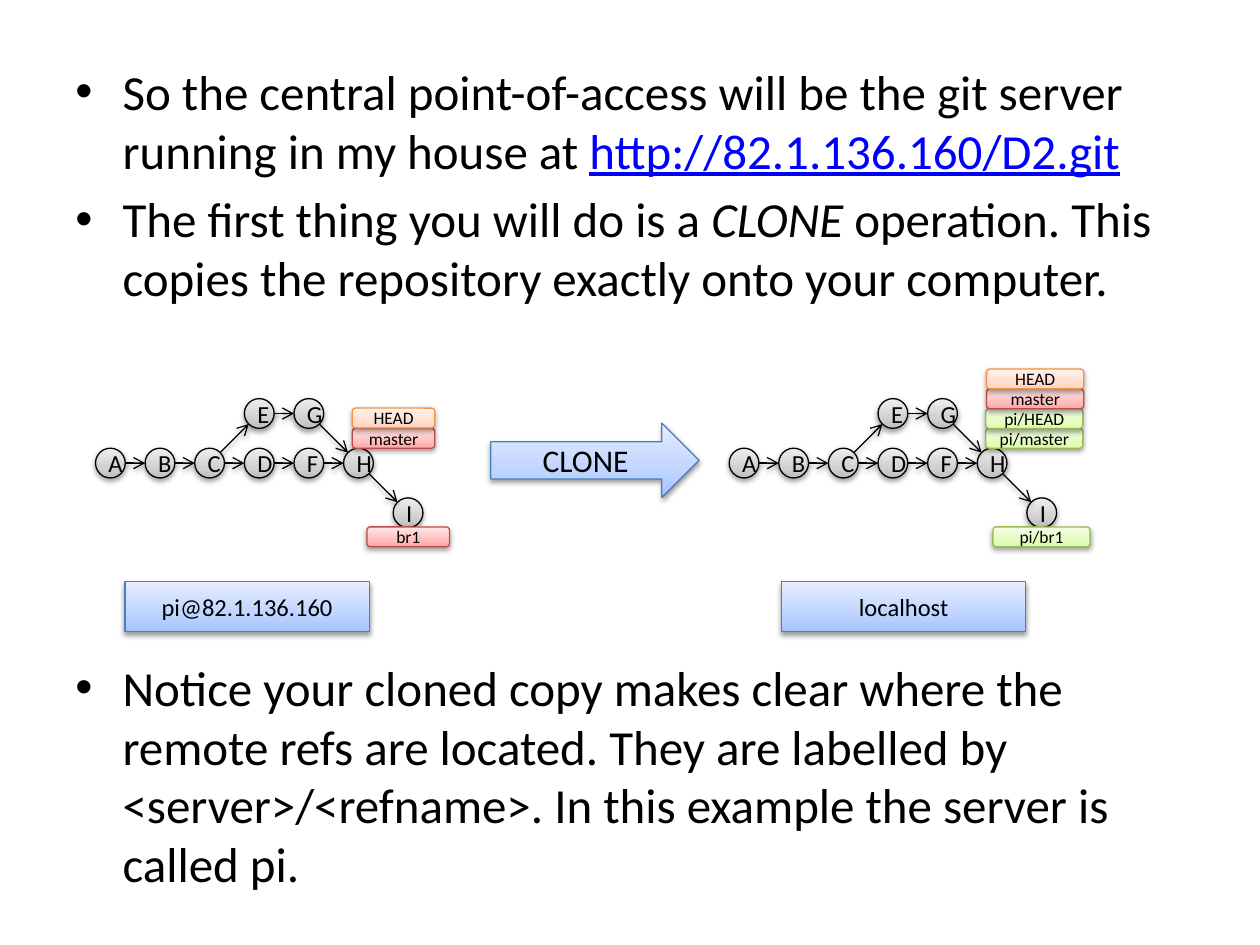
"""Build the slide that shows a repository being cloned from a server to localhost."""
import math
from dataclasses import dataclass

from pptx import Presentation
from pptx import util as u
from pptx.dml.color import RGBColor
from pptx.enum import shapes, text
from pptx.oxml import parse_xml
from pptx.oxml.ns import nsdecls

Pt = u.Pt
KINDS = shapes.MSO_SHAPE
FONT = "Calibri"
COLORS = {"black": "000000", "link": "0000FF"}
THEMES = {
    "gray": {"line": "000000", "stops": ("BDBDBD", "D1D1D1", "EEEEEE")},
    "red": {"line": "BF4C48", "stops": ("FFA6A5", "FFC0BF", "FFE7E7")},
    "orange": {"line": "F69240", "stops": ("FFD2BD", "FFDED0", "FFF2ED")},
    "green": {"line": "98B955", "stops": ("DAFDA7", "E4FCC2", "F5FFE7")},
    "blue": {"line": "4B7EBC", "stops": ("A4C4FF", "BFD4FF", "E6EEFF")},
}
PITCH, DIAMETER, TOP_ROW = 28.35, 17, 227.8
LEFT_GRAPH, RIGHT_GRAPH = 54.6, 416.7
NODES = {
    "A": (0, 1), "B": (1, 1), "C": (2, 1), "E": (3, 0), "D": (3, 1),
    "F": (4, 1), "G": (4, 0), "H": (5, 1), "I": (6, 2),
}
EDGES = ("AB", "BC", "CD", "DF", "CE", "EG", "GH", "FH", "HI")


@dataclass
class Box:
    label: str
    left: float
    top: float
    width: float
    height: float
    theme: str
    kind: KINDS = KINDS.ROUNDED_RECTANGLE
    size: float = 10


@dataclass
class Run:
    label: str
    color: str = "black"
    italic: bool = False
    underline: bool = False


REF_H = 11.3
LEFT_REFS = [
    Box("master", 201.3, 244.8, 47.2, REF_H, "red"),
    Box("br1", 209.7, 301.1, 47.2, REF_H, "red"),
    Box("HEAD", 201.3, 233.2, 47.2, REF_H, "orange"),
]
RIGHT_REFS = [
    Box("pi/master", 563.3, 244.8, 55.5, REF_H, "green"),
    Box("pi/HEAD", 563.3, 233.5, 55.5, REF_H, "green"),
    Box("pi/br1", 567.4, 301.1, 55.5, REF_H, "green"),
    Box("master", 563.8, 222.2, 55.5, REF_H, "red"),
    Box("HEAD", 563.8, 210.9, 55.5, REF_H, "orange"),
]
CAPTIONS = [
    Box("CLONE", 280.5, 241.8, 119, 42.5, "blue", KINDS.RIGHT_ARROW, 18),
    Box("pi@82.1.136.160", 71.4, 332.5, 139.7, 28.3, "blue", KINDS.RECTANGLE, 14),
    Box("localhost", 446.5, 332.5, 139.7, 28.3, "blue", KINDS.RECTANGLE, 14),
]
INTRO = [
    [Run("So the central point-of-access will be the git server running in my house at "),
     Run("http://82.1.136.160/D2.git", color="link", underline=True)],
    [Run("The first thing you will do is a "), Run("CLONE ", italic=True),
     Run("operation. This copies the repository exactly onto your computer.")],
]
CLOSING = [
    [Run("Notice your cloned copy makes clear where the remote refs are located. They are "
         "labelled by <server>/<refname>. In this example the server is called pi.")],
]


def add_run(p, label: str, size: float, color: str = "black",
            italic: bool = False, underline: bool = False) -> None:
    r = p.add_run()
    r.text = label
    r.font.name, r.font.size = FONT, Pt(size)
    r.font.italic, r.font.underline = italic, underline
    r.font.color.rgb = RGBColor.from_string(COLORS[color])


def add_shadow(sp) -> None:
    sp.element.spPr.append(parse_xml(
        f'<a:effectLst {nsdecls("a")}><a:outerShdw blurRad="{Pt(3.1)}" dist="{Pt(1.6)}" '
        f'dir="5400000" rotWithShape="0"><a:srgbClr val="{COLORS["black"]}">'
        '<a:alpha val="38000"/></a:srgbClr></a:outerShdw></a:effectLst>'))


def set_line(sp, color: str) -> None:
    sp.line.color.rgb = RGBColor.from_string(color)
    sp.line.width = Pt(0.75)


def add_box(s, box: Box) -> None:
    sp = s.shapes.add_shape(box.kind, Pt(box.left), Pt(box.top), Pt(box.width), Pt(box.height))
    theme = THEMES[box.theme]
    set_line(sp, theme["line"])
    stops = "".join(f'<a:gs pos="{pos}"><a:srgbClr val="{color}"/></a:gs>'
                    for pos, color in zip((0, 35000, 100000), theme["stops"]))
    sp.element.spPr.insert(2, parse_xml(
        f'<a:gradFill {nsdecls("a")} rotWithShape="1"><a:gsLst>{stops}</a:gsLst>'
        '<a:lin ang="16200000" scaled="0"/></a:gradFill>'))
    add_shadow(sp)
    tf = sp.text_frame
    tf.vertical_anchor = text.MSO_ANCHOR.MIDDLE
    p = tf.paragraphs[0]
    p.alignment = text.PP_ALIGN.CENTER
    add_run(p, box.label, box.size)


def add_edge(s, start: tuple[float, float], end: tuple[float, float]) -> None:
    dx, dy = end[0] - start[0], end[1] - start[1]
    trim = DIAMETER / 2 / math.hypot(dx, dy)
    ends = [start[0] + dx * trim, start[1] + dy * trim, end[0] - dx * trim, end[1] - dy * trim]
    sp = s.shapes.add_connector(shapes.MSO_CONNECTOR.STRAIGHT, *map(Pt, ends))
    set_line(sp, COLORS["black"])
    sp.line._get_or_add_ln().append(parse_xml(f'<a:tailEnd {nsdecls("a")} type="arrow"/>'))
    add_shadow(sp)


def add_graph(s, left: float) -> None:
    spots = {name: (left + PITCH * col, TOP_ROW + PITCH * row)
             for name, (col, row) in NODES.items()}
    for name, (x, y) in spots.items():
        add_box(s, Box(name, x, y, DIAMETER, DIAMETER, "gray", KINDS.OVAL, 14))
    for start, end in EDGES:
        add_edge(s, spots_center(spots[start]), spots_center(spots[end]))


def spots_center(spot: tuple[float, float]) -> tuple[float, float]:
    return spot[0] + DIAMETER / 2, spot[1] + DIAMETER / 2


def add_bullets(s, paragraphs: list[list[Run]], top: float, height: float) -> None:
    tf = s.shapes.add_textbox(Pt(36), Pt(top), Pt(648), Pt(height)).text_frame
    tf.word_wrap = True
    tf.auto_size = text.MSO_AUTO_SIZE.TEXT_TO_FIT_SHAPE
    for i, runs in enumerate(paragraphs):
        p = tf.add_paragraph() if i else tf.paragraphs[0]
        p.space_before = Pt(5.6)
        props = p._p.get_or_add_pPr()
        props.set("marL", str(Pt(27)))
        props.set("indent", str(Pt(-27)))
        props.append(parse_xml(f'<a:buFont {nsdecls("a")} typeface="Arial"/>'))
        props.append(parse_xml(f'<a:buChar {nsdecls("a")} char="•"/>'))
        for run in runs:
            add_run(p, run.label, 28, run.color, run.italic, run.underline)


def main() -> None:
    prs = Presentation()
    prs.slide_width, prs.slide_height = Pt(720), Pt(540)
    s = prs.slides.add_slide(prs.slide_layouts[6])
    add_bullets(s, INTRO, 31.7, 153.4)
    for left, refs in ((LEFT_GRAPH, LEFT_REFS), (RIGHT_GRAPH, RIGHT_REFS)):
        add_graph(s, left)
        for ref in refs:
            add_box(s, ref)
    for caption in CAPTIONS:
        add_box(s, caption)
    add_bullets(s, CLOSING, 372.2, 141.8)
    prs.save("out.pptx")


if __name__ == "__main__":
    main()
